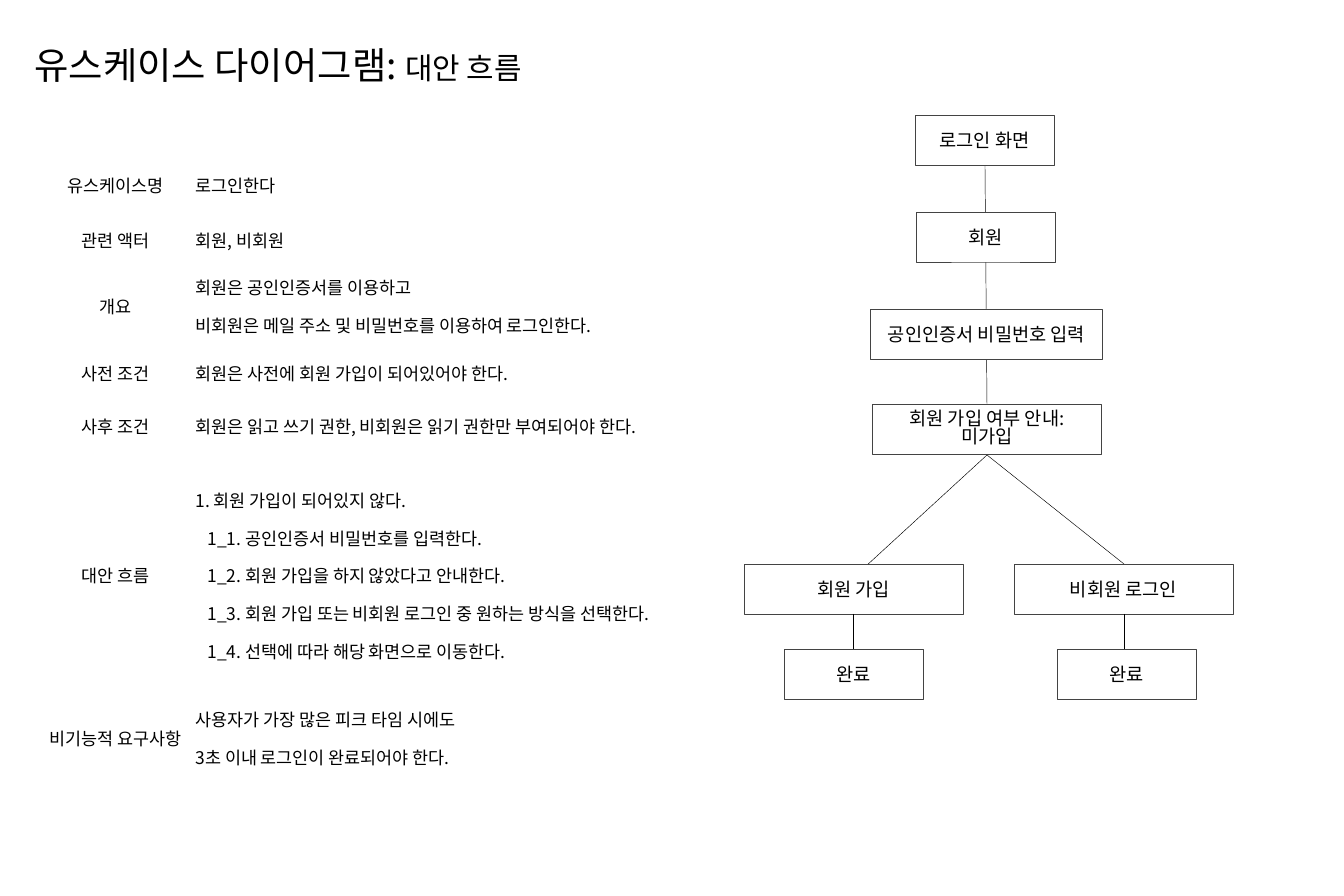
from lxml import etree
from pptx import Presentation
from pptx import util as u
from pptx.dml.color import RGBColor
from pptx.enum import shapes, text
from pptx.oxml.ns import qn

FONT = "Noto Sans CJK KR"
BLACK, WHITE, GREY = "000000", "FFFFFF", "434343"
MIDDLE = text.MSO_ANCHOR.MIDDLE
LEFT, CENTER = text.PP_ALIGN.LEFT, text.PP_ALIGN.CENTER

ROWS = [
    (56, "유스케이스명", ["로그인한다"]),
    (53, "관련 액터", ["회원, 비회원"]),
    (79, "개요", ["회원은 공인인증서를 이용하고",
                "비회원은 메일 주소 및 비밀번호를 이용하여 로그인한다."]),
    (53, "사전 조건", ["회원은 사전에 회원 가입이 되어있어야 한다."]),
    (53, "사후 조건", ["회원은 읽고 쓰기 권한, 비회원은 읽기 권한만 부여되어야 한다."]),
    (246, "대안 흐름", ["1. 회원 가입이 되어있지 않다.",
                    "1_1. 공인인증서 비밀번호를 입력한다.",
                    "1_2. 회원 가입을 하지 않았다고 안내한다.",
                    "1_3. 회원 가입 또는 비회원 로그인 중 원하는 방식을 선택한다.",
                    "1_4. 선택에 따라 해당 화면으로 이동한다."]),
    (69, "비기능적 요구사항", ["사용자가 가장 많은 피크 타임 시에도",
                       "3초 이내 로그인이 완료되어야 한다."]),
]

BOXES = [
    (915, 115, 139, ["로그인 화면"]),
    (916, 212, 139, ["회원"]),
    (870, 309, 233, ["공인인증서 비밀번호 입력"]),
    (872, 404, 230, ["회원 가입 여부 안내:", "미가입"]),
    (744, 564, 219, ["회원 가입"]),
    (784, 649, 139, ["완료"]),
    (1014, 564, 219, ["비회원 로그인"]),
    (1057, 649, 139, ["완료"]),
]

LINES_BEHIND = [(985, 165, 987, 404), (987, 455, 841, 589)]
LINES_FRONT = [(987, 455, 1124, 564), (853, 614, 853, 649), (1124, 614, 1124, 649)]


def px(n):
    return u.Emu(round(n * 914400 / 44.8))


def rgb(color):
    return RGBColor.from_string(color)


def add_run(p, wording, size):
    r = p.add_run()
    r.text = wording
    r.font.size = u.Pt(size)
    r.font.color.rgb = rgb(BLACK)
    r.font.name = FONT
    etree.SubElement(r._r.get_or_add_rPr(), qn("a:ea")).set("typeface", FONT)


def add_lines(tf, lines, size, align, spacing):
    for i, line in enumerate(lines):
        p = tf.add_paragraph() if i else tf.paragraphs[0]
        p.alignment = align
        p.line_spacing = spacing
        if line.startswith("1_"):
            p._p.get_or_add_pPr().set("marL", str(px(12)))
        add_run(p, line, size)


def add_title(s):
    sp = s.shapes.title
    sp.left, sp.top, sp.width, sp.height = px(30), px(17), px(529), px(73)
    tf = sp.text_frame
    tf.word_wrap = False
    tf.auto_size = text.MSO_AUTO_SIZE.NONE
    tf.vertical_anchor = MIDDLE
    p = tf.paragraphs[0]
    p.alignment = LEFT
    p.line_spacing = 1.5
    add_run(p, "유스케이스 다이어그램: ", 60)
    add_run(p, "대안 흐름", 48)


def add_use_case_table(s):
    height = sum(row[0] for row in ROWS)
    frame = s.shapes.add_table(len(ROWS), 2, px(40), px(151), px(638), px(height))
    table = frame.table
    table.first_row = table.horz_banding = False
    table.columns[0].width, table.columns[1].width = px(151), px(487)
    for row, (h, label, lines) in zip(table.rows, ROWS):
        row.height = px(h)
        for cell, content, align in zip(row.cells, ([label], lines), (CENTER, LEFT)):
            cell.fill.background()
            cell.vertical_anchor = MIDDLE
            add_lines(cell.text_frame, content, 28, align, 1.5)


def add_box(s, x, y, w, lines):
    sp = s.shapes.add_shape(shapes.MSO_SHAPE.RECTANGLE, px(x), px(y), px(w), px(50))
    sp.shadow.inherit = False
    sp.fill.solid()
    sp.fill.fore_color.rgb = rgb(WHITE)
    sp.line.color.rgb = rgb(GREY)
    sp.line.width = u.Pt(1.5)
    tf = sp.text_frame
    tf.word_wrap = True
    tf.vertical_anchor = MIDDLE
    tf.margin_left = tf.margin_right = tf.margin_top = tf.margin_bottom = u.Inches(0.1)
    add_lines(tf, lines, 30, CENTER, 0.8 if len(lines) > 1 else 1.0)


def add_line(s, x1, y1, x2, y2):
    line = s.shapes.add_connector(shapes.MSO_CONNECTOR.STRAIGHT,
                                  px(x1), px(y1), px(x2), px(y2))
    line.line.color.rgb = rgb(BLACK)
    line.line.width = u.Pt(0.75)
    etree.SubElement(line._element.spPr, qn("a:effectLst"))


def main():
    prs = Presentation()
    prs.slide_width, prs.slide_height = u.Inches(30), u.Inches(20)
    s = prs.slides.add_slide(prs.slide_layouts[5])
    add_title(s)
    add_use_case_table(s)
    for ends in LINES_BEHIND:
        add_line(s, *ends)
    for box in BOXES:
        add_box(s, *box)
    for ends in LINES_FRONT:
        add_line(s, *ends)
    prs.save("out.pptx")


main()
